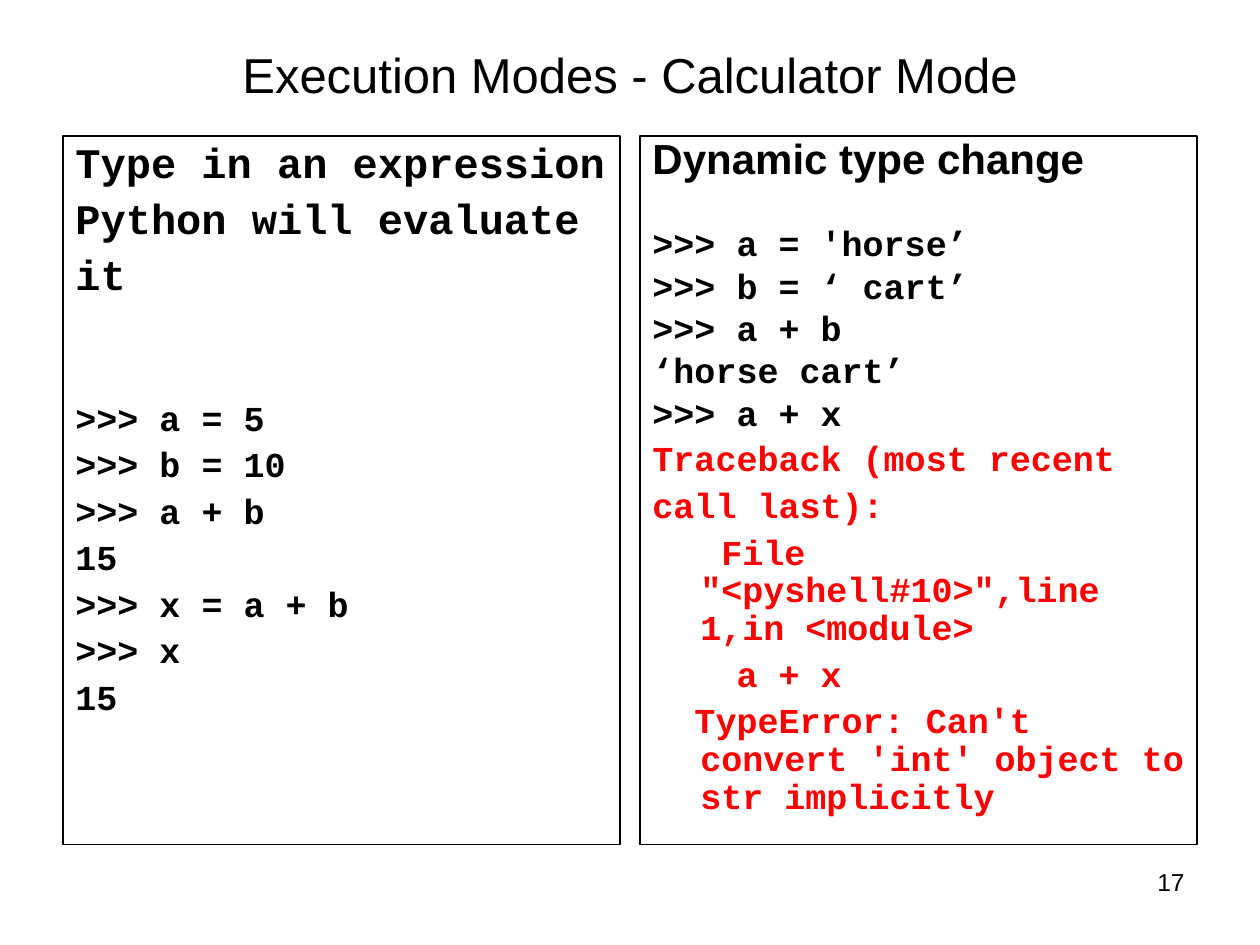
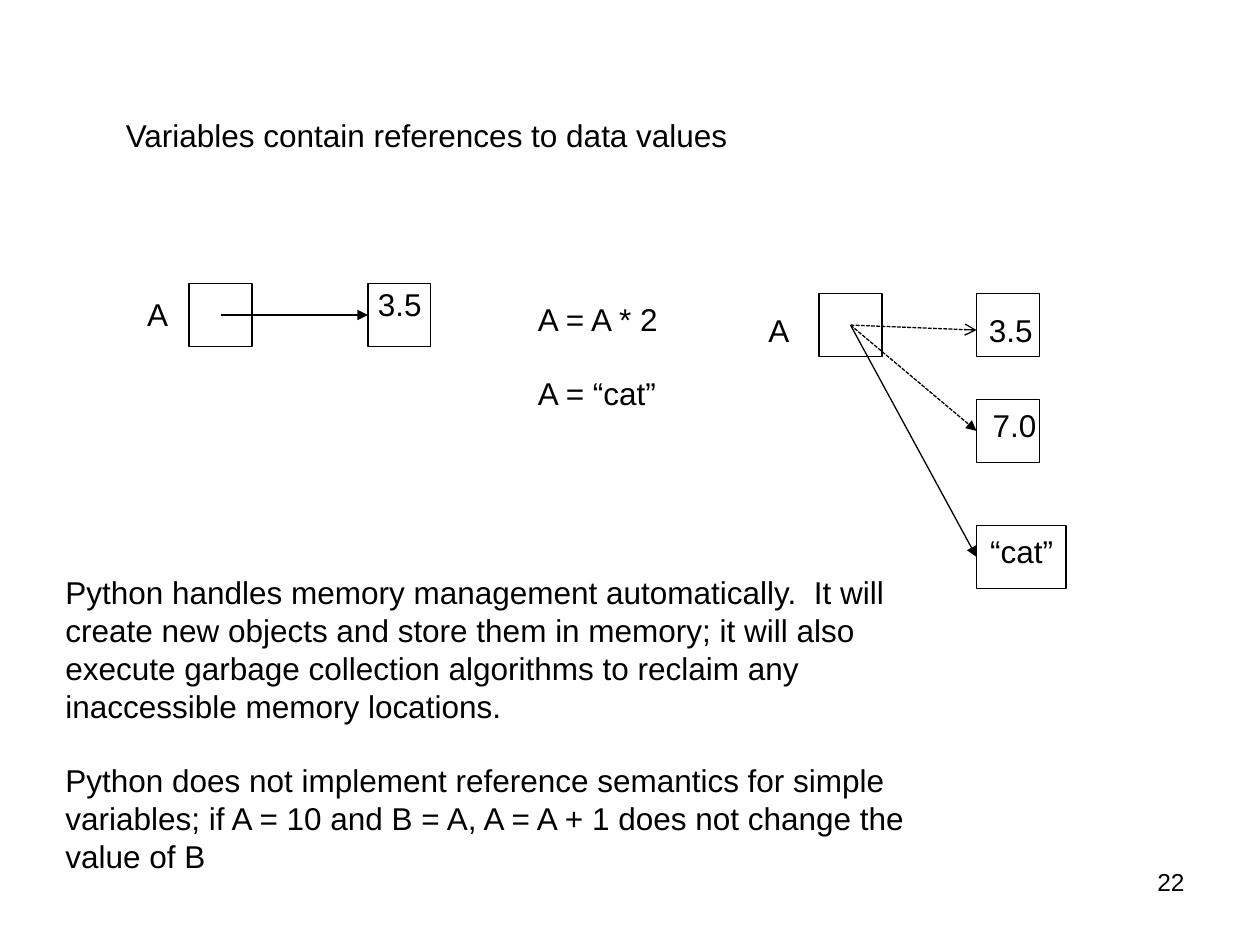
import pptx
import pptx.dml.color
import pptx.enum.dml
import pptx.enum.shapes
import pptx.enum.text
import pptx.oxml.ns
import pptx.util
from lxml import etree
from pptx.util import Inches

ALIGN = pptx.enum.text.PP_ALIGN
ANCHOR = pptx.enum.text.MSO_ANCHOR
BLACK, RED = "000000", "FF0000"
SANS, CODE = "Arial", "Courier New"


def colour(value):
    return pptx.dml.color.RGBColor.from_string(value)


def apply(target, values):
    for name, value in values.items():
        setattr(target, name, value)


class Deck:
    """Hold the shared style and the slide being built."""

    def __init__(self):
        self.show = pptx.Presentation()
        apply(self.show, {"slide_width": Inches(10), "slide_height": Inches(7.5)})
        self.slide = None

    def new_slide(self, number):
        self.slide = self.show.slides.add_slide(self.show.slide_layouts[6])
        self.text(7.17, 6.83, 2.33, 0.52, [dict(text=number, size=14, align=ALIGN.RIGHT)])

    def title(self, words):
        self.text(0.5, 0.25, 9, 0.67, [dict(text=words, size=28, align=ALIGN.CENTER)],
                  anchor=ANCHOR.MIDDLE)

    def text(self, left, top, width, height, lines, wrap=True, anchor=ANCHOR.TOP):
        box = self.slide.shapes.add_textbox(*map(Inches, (left, top, width, height)))
        self.fill_text(box.text_frame, lines, wrap, anchor)

    def label(self, left, top, width, words):
        self.text(left, top, width, 0.4, [dict(text=words)], wrap=False)

    def fill_text(self, frame, lines, wrap=True, anchor=ANCHOR.TOP):
        apply(frame, {"word_wrap": wrap, "vertical_anchor": anchor})
        for index, line in enumerate(lines):
            paragraph = frame.paragraphs[0] if index == 0 else frame.add_paragraph()
            apply(paragraph, {"alignment": line.get("align", ALIGN.LEFT),
                              "line_spacing": line.get("spacing", 1.0)})
            if index:
                paragraph.space_before = pptx.util.Pt(line.get("before", 0))
            margin, indent = line.get("indent", (0, 0))
            properties = paragraph._p.get_or_add_pPr()
            properties.set("marL", str(Inches(margin)))
            properties.set("indent", str(Inches(indent)))
            run = paragraph.add_run()
            run.text = line["text"]
            apply(run.font, {"name": line.get("font", SANS), "bold": line.get("bold", False),
                             "size": pptx.util.Pt(line.get("size", 18))})
            run.font.color.rgb = colour(line.get("ink", BLACK))

    def outline(self, line, dash=None):
        apply(line, {"width": pptx.util.Pt(0.75), "dash_style": dash})
        line.color.rgb = colour(BLACK)

    def box(self, left, top, width=0.5, height=0.5):
        shape = self.slide.shapes.add_shape(pptx.enum.shapes.MSO_SHAPE.RECTANGLE,
                                            *map(Inches, (left, top, width, height)))
        shape.shadow.inherit = False
        shape.fill.background()
        self.outline(shape.line)
        return shape

    def panel(self, left, lines):
        common = dict(size=20, font=CODE, bold=True, before=5, indent=(0.38, -0.38))
        shape = self.box(left, 1.08, 4.42, 5.62)
        self.fill_text(shape.text_frame, [common | line for line in lines])

    def arrow(self, start, end, head="triangle", dash=None):
        connector = self.slide.shapes.add_connector(
            pptx.enum.shapes.MSO_CONNECTOR.STRAIGHT, *map(Inches, start + end))
        self.outline(connector.line, dash)
        qn = pptx.oxml.ns.qn
        etree.SubElement(connector.line._get_or_add_ln(), qn("a:tailEnd"), type=head)
        etree.SubElement(connector._element.spPr, qn("a:effectLst"))


def calculator_mode(deck):
    deck.new_slide("17")
    deck.title("Execution Modes - Calculator Mode")

    intro = ["Type in an expression", "Python will evaluate", "it"]
    session = [">>> a = 5", ">>> b = 10", ">>> a + b", "15", ">>> x = a + b", ">>> x", "15"]
    sums = [dict(text=words, size=24, before=6, spacing=0.9) for words in intro]
    sums += [dict(text=words, spacing=0.9) for words in session]
    sums[len(intro)]["before"] = 58
    deck.panel(0.5, sums)

    session = [">>> a = 'horse’", ">>> b = ‘ cart’", ">>> a + b", "‘horse cart’", ">>> a + x"]
    error = ["Traceback (most recent", "call last):",
             " File \"<pyshell#10>\",line 1,in <module>", "    a + x",
             "  TypeError: Can't convert 'int' object to str implicitly"]
    strings = [dict(text="Dynamic type change", size=24, font=SANS, spacing=0.8)]
    strings += [dict(text=words, spacing=0.8) for words in session]
    strings[1]["before"] = 27
    strings += [dict(text=words, spacing=0.9, ink=RED) for words in error]
    strings[-3]["indent"] = (0.38, 0)
    deck.panel(5.08, strings)


def references(deck):
    deck.new_slide("22")
    deck.label(0.9, 0.87, 4.99, "Variables contain references to data values")

    for left, top in [(1.5, 2.25), (2.92, 2.25), (6.5, 2.33), (7.75, 2.33), (7.75, 3.17)]:
        deck.box(left, top)
    deck.box(7.75, 4.17, 0.71)

    for left, top, width, words in [
            (1.07, 2.29, 0.36, "A"), (2.9, 2.21, 0.55, "3.5"),
            (6, 2.42, 0.36, "A"), (7.75, 2.42, 0.55, "3.5"),
            (7.78, 3.17, 0.55, "7.0"), (7.76, 4.17, 0.7, "“cat”")]:
        deck.label(left, top, width, words)

    variable = (6.75, 2.58)
    dashed = pptx.enum.dml.MSO_LINE.SQUARE_DOT
    deck.arrow((1.75, 2.5), (2.92, 2.5))
    deck.arrow(variable, (7.75, 2.62), "arrow", dashed)
    deck.arrow(variable, (7.75, 3.42), dash=dashed)
    deck.arrow(variable, (7.75, 4.42))

    gap = 21
    deck.text(4.17, 2.33, 1.19, 1,
              [dict(text="A = A * 2"), dict(text="A = “cat”", before=gap)], wrap=False)
    deck.text(0.42, 4.5, 7.08, 2.5, [
        dict(text="Python handles memory management automatically.  It will create new "
                  "objects and store them in memory; it will also execute garbage collection "
                  "algorithms to reclaim any inaccessible memory locations."),
        dict(text="Python does not implement reference semantics for simple variables; "
                  "if A = 10 and B = A, A = A + 1 does not change the value of B", before=gap)])


def main():
    deck = Deck()
    calculator_mode(deck)
    references(deck)
    deck.show.save("out.pptx")


if __name__ == "__main__":
    main()
